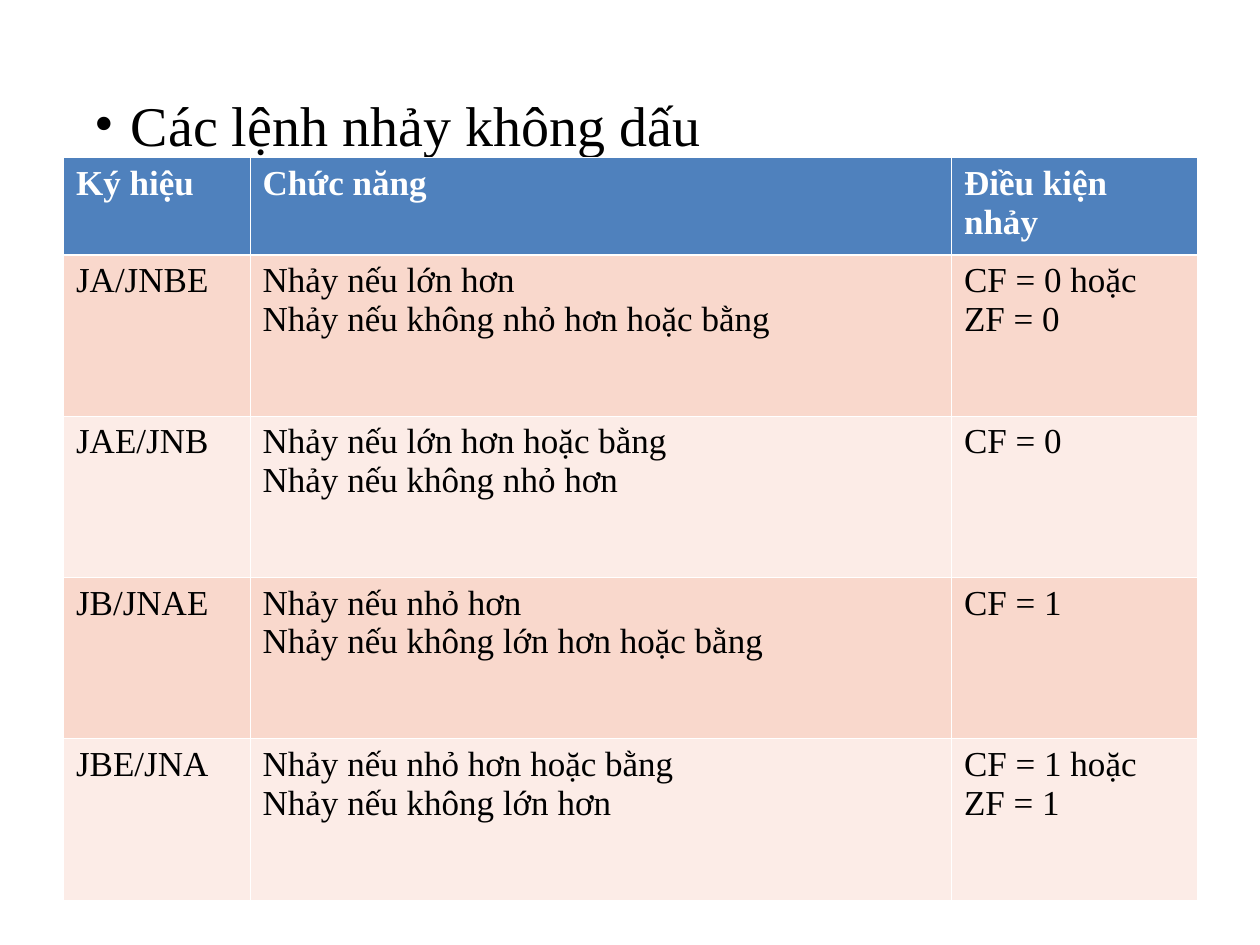
"""Build a slide with a table of the unsigned jump instructions."""
from pptx import Presentation
from pptx.dml.color import RGBColor as RGB
from pptx.oxml import parse_xml
from pptx.oxml.ns import nsdecls
from pptx.util import Cm, Pt

COLORS = {"head": "4F81BD", "dark": "F9D8CC", "light": "FCECE7",
          "black": "000000", "white": "FFFFFF"}
ROWS = [
    ("Ký hiệu", "Chức năng", "Điều kiện nhảy"),
    ("JA/JNBE", "Nhảy nếu lớn hơn\nNhảy nếu không nhỏ hơn hoặc bằng", "CF = 0 hoặc ZF = 0"),
    ("JAE/JNB", "Nhảy nếu lớn hơn hoặc bằng\nNhảy nếu không nhỏ hơn", "CF = 0"),
    ("JB/JNAE", "Nhảy nếu nhỏ hơn\nNhảy nếu không lớn hơn hoặc bằng", "CF = 1"),
    ("JBE/JNA", "Nhảy nếu nhỏ hơn hoặc bằng\nNhảy nếu không lớn hơn", "CF = 1 hoặc ZF = 1"),
]


def write(tf, text, size=20, color="black", bold=False, bullet=False):
    for i, line in enumerate(text.split("\n")):
        p = tf.add_paragraph() if i else tf.paragraphs[0]
        if bullet:
            pPr = p._p.get_or_add_pPr()
            pPr.set("marL", str(Cm(0.74)))
            pPr.set("indent", str(Cm(-0.74)))
            pPr.append(parse_xml(f'<a:buFont {nsdecls("a")} typeface="Times New Roman"/>'))
            pPr.append(parse_xml(f'<a:buChar {nsdecls("a")} char="•"/>'))
        r = p.add_run()
        r.text = line
        r.font.name = "Times New Roman"
        r.font.size = Pt(size)
        r.font.bold = bold
        r.font.color.rgb = RGB.from_string(COLORS[color])


def set_border(cell, side, width):
    cell._tc.get_or_add_tcPr().append(parse_xml(
        f'<a:{side} {nsdecls("a")} w="{Pt(width)}"><a:solidFill>'
        f'<a:srgbClr val="{COLORS["white"]}"/></a:solidFill></a:{side}>'))


prs = Presentation()
prs.slide_width, prs.slide_height = Cm(25.4), Cm(19.05)
s = prs.slides.add_slide(prs.slide_layouts[6])

sp = s.shapes.add_textbox(Cm(1.4), Cm(1.47), Cm(22.73), Cm(11.63))
tf = sp.text_frame
tf.word_wrap = True
tf.margin_left, tf.margin_top = Cm(0.5), Cm(0.35)
write(tf, "Các lệnh nhảy không dấu", size=32, bullet=True)

table = s.shapes.add_table(len(ROWS), 3, Cm(1.28), Cm(3.18), Cm(22.86), Cm(14.96)).table
for column, width in zip(table.columns, (3.76, 14.14, 4.96)):
    column.width = Cm(width)
for i, texts in enumerate(ROWS):
    table.rows[i].height = Cm(3.25 if i else 1.96)
    fill = ("dark" if i % 2 else "light") if i else "head"
    for j, text in enumerate(texts):
        cell = table.cell(i, j)
        write(cell.text_frame, text, color="black" if i else "white", bold=i == 0)
        for side in ("lnL", "lnR", "lnT", "lnB"):
            under_head = (i, side) in ((0, "lnB"), (1, "lnT"))
            set_border(cell, side, 1.5 if under_head else 0.45)
        cell.fill.solid()
        cell.fill.fore_color.rgb = RGB.from_string(COLORS[fill])

prs.save("out.pptx")
